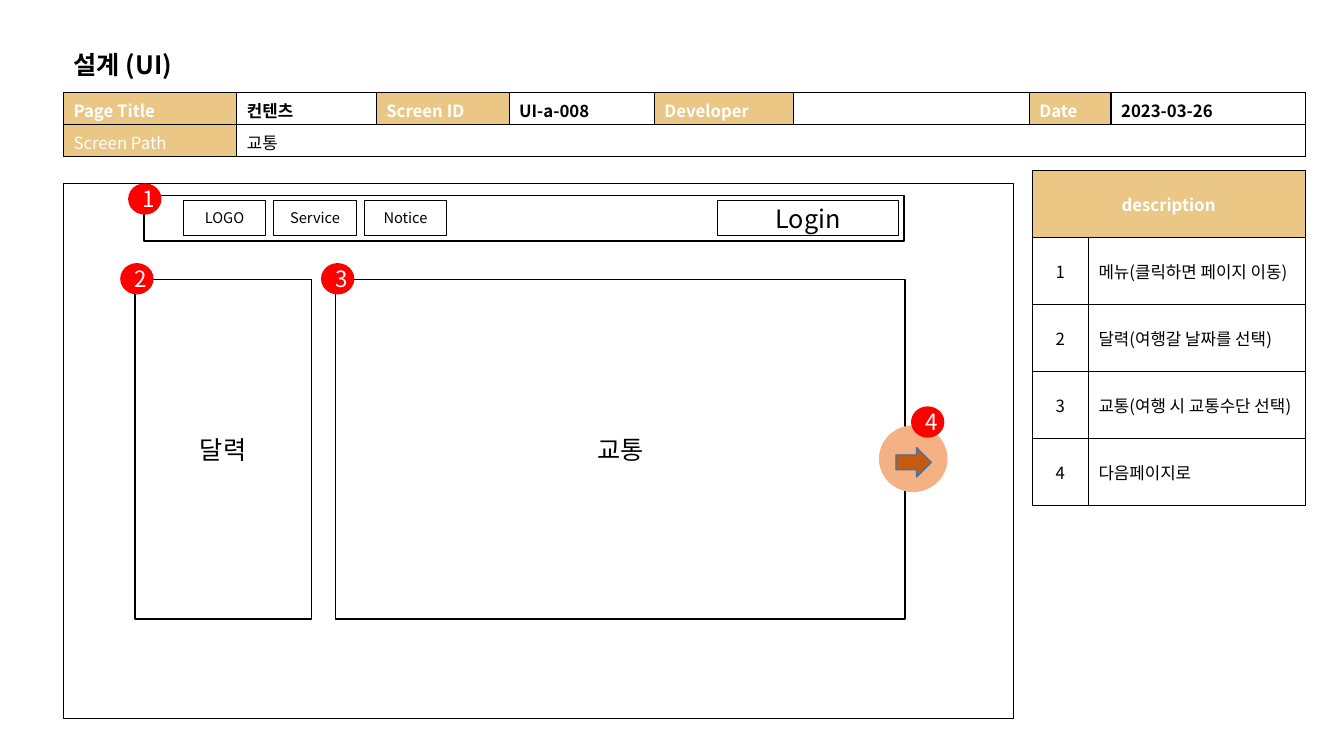
import pptx
import pptx.util
import pptx.dml.color
import pptx.enum.shapes
import pptx.enum.text
import pptx.oxml.ns
from lxml import etree

Cm = pptx.util.Cm
Pt = pptx.util.Pt
Shape = pptx.enum.shapes.MSO_SHAPE
Align = pptx.enum.text.PP_ALIGN
Anchor = pptx.enum.text.MSO_ANCHOR
qn = pptx.oxml.ns.qn

FONT = "Noto Sans CJK KR"
GOLD, WHITE, BLACK, RED = "EAC784", "FFFFFF", "000000", "FF0000"


def colour(value):
    return pptx.dml.color.RGBColor.from_string(value)


def write(frame, text, size, ink=BLACK, bold=False, align=Align.CENTER):
    frame.text = text
    para = frame.paragraphs[0]
    para.alignment = align
    for span in para.runs:
        span.font.size = Pt(size)
        span.font.name = FONT
        span.font.bold = bold
        span.font.color.rgb = colour(ink)
        east_asian = etree.SubElement(span.font._element, qn("a:ea"))
        east_asian.set("typeface", FONT)
    if not para.runs:
        etree.SubElement(para._p, qn("a:endParaRPr"), sz=str(size * 100))


def add_box(shapes, kind, left, top, width, height, fill=None, line=BLACK):
    box = shapes.add_shape(kind, Cm(left), Cm(top), Cm(width), Cm(height))
    box.shadow.inherit = False
    if fill:
        box.fill.solid()
        box.fill.fore_color.rgb = colour(fill)
    else:
        box.fill.background()
    if line:
        box.line.color.rgb = colour(line)
        box.line.width = Pt(1)
    else:
        box.line.fill.background()
    return box


def add_label_box(shapes, text, size, left, top, width, height, fill=None):
    box = add_box(shapes, Shape.RECTANGLE, left, top, width, height, fill)
    box.text_frame.vertical_anchor = Anchor.MIDDLE
    write(box.text_frame, text, size)


def add_badge(shapes, number, left, top):
    badge = add_box(shapes, Shape.OVAL, left, top, 0.84, 0.79, RED, None)
    badge.text_frame.vertical_anchor = Anchor.MIDDLE
    write(badge.text_frame, str(number), 16, WHITE)


def style_cell(cell, fill):
    properties = cell._tc.get_or_add_tcPr()
    for side in ("lnL", "lnR", "lnT", "lnB"):
        border = etree.SubElement(properties, qn("a:" + side), w="12700")
        solid = etree.SubElement(border, qn("a:solidFill"))
        etree.SubElement(solid, qn("a:srgbClr"), val=BLACK)
    cell.fill.solid()
    cell.fill.fore_color.rgb = colour(fill)


def add_grid(page, left, top, widths, row_height, row_count):
    frame = page.shapes.add_table(
        row_count, len(widths), Cm(left), Cm(top),
        Cm(sum(widths)), Cm(row_height * row_count))
    table = frame.table
    for column, width in zip(table.columns, widths):
        column.width = Cm(width)
    for row in table.rows:
        row.height = Cm(row_height)
    return table


def add_title(page, left, top, width, height):
    title = page.shapes.title
    title.left, title.top = Cm(left), Cm(top)
    title.width, title.height = Cm(width), Cm(height)
    frame = title.text_frame
    frame.auto_size = pptx.enum.text.MSO_AUTO_SIZE.NONE
    frame.word_wrap = False
    frame.vertical_anchor = Anchor.TOP
    write(frame, "설계 (UI)", 18, bold=True, align=Align.LEFT)


def add_page_header(page, left, top):
    widths = [4.37, 3.51, 3.35, 3.66, 3.51, 5.94, 2.06, 4.9]
    rows = [
        ["Page Title", "컨텐츠", "Screen ID", "UI-a-008",
         "Developer", "", "Date", "2023-03-26"],
        ["Screen Path", "교통"] + [""] * 6,
    ]
    table = add_grid(page, left, top, widths, 0.8, len(rows))
    for r, texts in enumerate(rows):
        for c, text in enumerate(texts):
            cell = table.cell(r, c)
            is_name = c % 2 == 0 and (r == 0 or c == 0)
            cell.margin_bottom = 0
            style_cell(cell, GOLD if is_name else WHITE)
            write(cell.text_frame, text, 12, WHITE if is_name else BLACK,
                  r == 0, Align.LEFT)
    table.cell(1, 1).merge(table.cell(1, 7))


def add_description(page, left, top):
    notes = ["메뉴(클릭하면 페이지 이동)", "달력(여행갈 날짜를 선택)",
             "교통(여행 시 교통수단 선택)", "다음페이지로"]
    rows = [["description", ""]]
    rows += [[str(number), note] for number, note in enumerate(notes, 1)]
    table = add_grid(page, left, top, [1.42, 5.46], 1.69, len(rows))
    for r, texts in enumerate(rows):
        for c, text in enumerate(texts):
            cell = table.cell(r, c)
            cell.vertical_anchor = Anchor.MIDDLE
            style_cell(cell, WHITE if r else GOLD)
            write(cell.text_frame, text, 12, BLACK if r else WHITE, r == 0,
                  Align.LEFT if c else Align.CENTER)
    table.cell(0, 0).merge(table.cell(0, 1))


def add_menu(page, left, top):
    button_top = top + 0.12
    add_label_box(page.shapes, "Login", 18, left + 14.45, button_top, 4.57, 0.89)
    bar = page.shapes.add_group_shape()
    add_box(bar.shapes, Shape.RECTANGLE, left, top, 19.15, 1.14)
    add_badge(bar.shapes, 1, left - 0.4, top - 0.31)
    for index, text in enumerate(["LOGO", "Service", "Notice"]):
        add_label_box(page.shapes, text, 10.5,
                      left + 0.99 + index * 2.28, button_top, 2.08, 0.89)


def add_panel(page, number, text, left, top, width, height):
    panel = page.shapes.add_group_shape()
    add_label_box(panel.shapes, text, 18, left, top, width, height, WHITE)
    add_badge(panel.shapes, number, left - 0.37, top - 0.41)


def add_next_button(page, left, top):
    button = page.shapes.add_group_shape()
    add_box(button.shapes, Shape.OVAL, left, top, 1.73, 1.68, "F4B183", None)
    add_box(button.shapes, Shape.RIGHT_ARROW, left + 0.43, top + 0.56,
            0.89, 0.74, "C55A11", "43739E")
    add_badge(button.shapes, 4, left + 0.81, top - 0.48)


def add_screen(page, left, top):
    add_box(page.shapes, Shape.RECTANGLE, left, top, 23.95, 13.49, WHITE)
    add_menu(page, left + 2.03, top + 0.31)
    add_panel(page, 2, "달력", left + 1.8, top + 2.42, 4.45, 8.56)
    add_panel(page, 3, "교통", left + 6.86, top + 2.42, 14.35, 8.56)
    add_next_button(page, left + 20.55, top + 6.1)


def main():
    deck = pptx.Presentation()
    deck.slide_width, deck.slide_height = Cm(33.87), Cm(19.05)
    page = deck.slides.add_slide(deck.slide_layouts[5])
    add_title(page, 1.6, 1.12, 3.25, 1.02)
    add_page_header(page, 1.6, 2.34)
    add_description(page, 26.01, 4.29)
    add_screen(page, 1.6, 4.62)
    deck.save("out.pptx")


if __name__ == "__main__":
    main()
